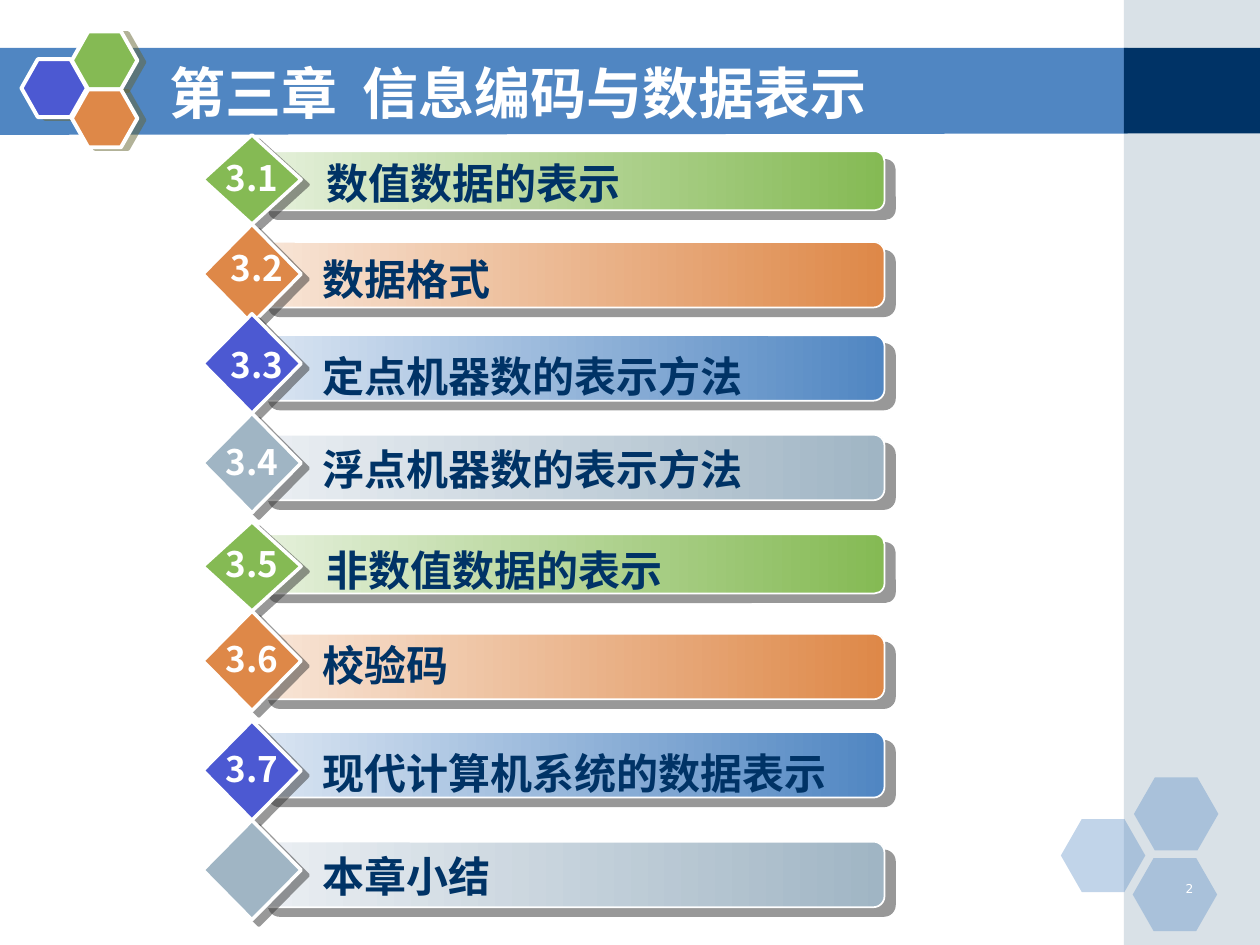
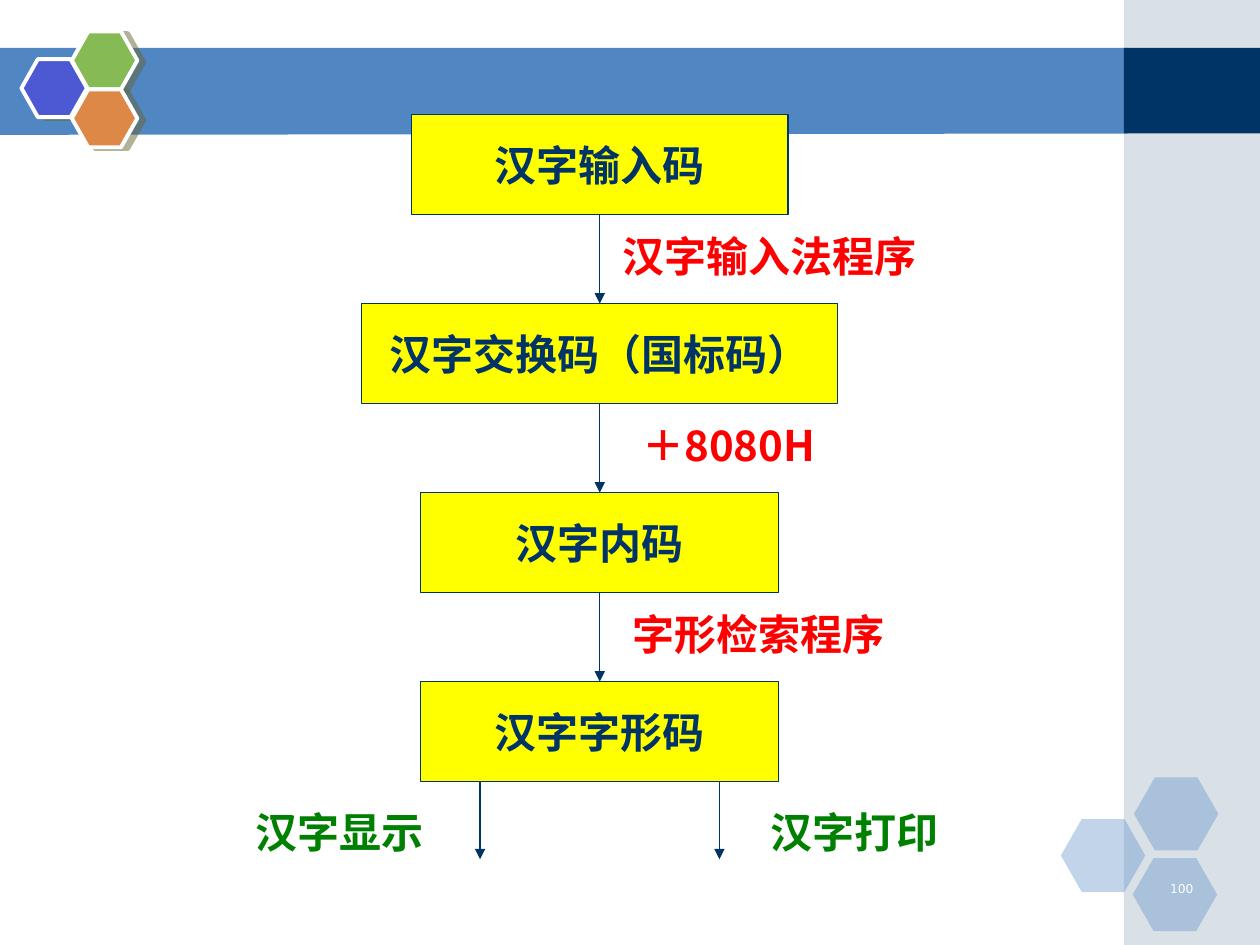
from dataclasses import dataclass

from lxml.etree import SubElement
from pptx import Presentation
from pptx.dml.color import RGBColor
from pptx.enum.shapes import MSO_CONNECTOR, MSO_SHAPE
from pptx.enum.text import MSO_ANCHOR, PP_ALIGN
from pptx.oxml.ns import qn
from pptx.util import Inches, Pt

COLORS = {
    "white": "FFFFFF", "navy": "003366", "blue": "5086C2", "indigo": "4C59D2",
    "green": "85BA54", "orange": "DE8848", "slate": "A0B5C4",
    "pale_green": "E5F0DB", "pale_orange": "F8E6D8", "pale_blue": "DAE5F2",
    "pale_slate": "EBEFF3", "olive": "666633", "charcoal": "333333",
    "yellow": "FFFF00", "red": "FF0000", "leaf": "008000",
}
CJK_FONT = "Noto Sans CJK SC"
TEXT_STYLES = {
    "title": {"name": CJK_FONT, "size": Pt(32), "bold": True},
    "body": {"name": CJK_FONT, "size": Pt(24), "bold": True},
    "number": {"name": CJK_FONT, "size": Pt(20), "bold": True},
    "page": {"name": "DejaVu Sans", "size": Pt(7), "bold": False},
}
INSETS = {"margin_left": Inches(0.1), "margin_right": Inches(0.1),
          "margin_top": Inches(0.05), "margin_bottom": Inches(0.05)}
BADGE_SHADOW = ("olive", 4.1, 14)
BAR_SHADOW = ("charcoal", 7.8, 40)
DIAMOND_SHADOW = ("charcoal", 5, 37)


@dataclass
class Section:
    number: str
    label: str
    theme: str
    bar_top: float
    diamond_top: float
    label_top: float
    number_top: float = 0
    number_left: float = 1.69


# theme: bar start, bar end, diamond, bar height, diamond height
THEMES = {
    "green": ("pale_green", "green", "green", 0.47, 0.71),
    "orange": ("pale_orange", "orange", "orange", 0.52, 0.79),
    "blue": ("pale_blue", "blue", "indigo", 0.52, 0.79),
    "slate": ("pale_slate", "slate", "slate", 0.52, 0.79),
}
SECTIONS = [
    Section("3.1", "数值数据的表示", "green", 1.2, 1.07, 1.2, 1.19),
    Section("3.2", "数据格式", "orange", 1.92, 1.78, 1.96, 1.91, 1.73),
    Section("3.3", "定点机器数的表示方法", "blue", 2.66, 2.49, 2.73, 2.68, 1.73),
    Section("3.4", "浮点机器数的表示方法", "slate", 3.45, 3.28, 3.47, 3.45),
    Section("3.5", "非数值数据的表示", "green", 4.24, 4.14, 4.27, 4.26),
    Section("3.6", "校验码", "orange", 5.03, 4.85, 5.03, 5.01),
    Section("3.7", "现代计算机系统的数据表示", "blue", 5.81, 5.72, 5.88, 5.88),
    Section("", "本章小结", "slate", 6.68, 6.51, 6.7),
]
# code name, box width, next step, left edge of the step label
CODE_STAGES = [
    ("汉字输入码", 2.99, "汉字输入法程序", 4.84),
    ("汉字交换码（国标码）", 3.78, "＋8080H", 5.0),
    ("汉字内码", 2.84, "字形检索程序", 4.92),
    ("汉字字形码", 2.84, None, None),
]
# output, label left, arrow offset from the axis
OUTPUTS = [("汉字显示", 1.93, -0.95), ("汉字打印", 6.02, 0.95)]


def rgb(color):
    return RGBColor.from_string(COLORS[color])


def inches(box):
    return [Inches(length) for length in box]


def set_all(target, values):
    for attribute, value in values.items():
        setattr(target, attribute, value)


def add_alpha(color_element, percent):
    SubElement(color_element, qn("a:alpha"), val=str(percent * 1000))


def add_shadow(shape, color, distance, angle):
    effects = shape._element.spPr.find(qn("a:effectLst"))
    shadow = SubElement(effects, qn("a:outerShdw"), dist=str(Pt(distance)),
                        dir=str(angle * 60000), algn="ctr", rotWithShape="0")
    add_alpha(SubElement(shadow, qn("a:srgbClr"), val=COLORS[color]), 50)


def add_block(slide, kind, box, fill, line=None, adjust=None, opacity=None,
              shadow=None):
    """Add a shape; fill is one colour or a (start, end) pair, line is (colour, points)."""
    shape = slide.shapes.add_shape(kind, *inches(box))
    shape.shadow.inherit = False
    if isinstance(fill, tuple):
        shape.fill.gradient()
        shape.fill.gradient_angle = 0
        for stop, color in zip(shape.fill.gradient_stops, fill):
            stop.color.rgb = rgb(color)
    else:
        shape.fill.solid()
        shape.fill.fore_color.rgb = rgb(fill)
    if opacity:
        add_alpha(shape._element.spPr.find(".//" + qn("a:srgbClr")), opacity)
    if line:
        shape.line.color.rgb = rgb(line[0])
        shape.line.width = Pt(line[1])
    else:
        shape.line.fill.background()
    if adjust:
        shape.adjustments[0] = adjust
    if shadow:
        add_shadow(shape, *shadow)
    return shape


def write(shape, text, style, color, align=PP_ALIGN.LEFT,
          anchor=MSO_ANCHOR.TOP, wrap=True):
    frame = shape.text_frame
    set_all(frame, {**INSETS, "word_wrap": wrap, "vertical_anchor": anchor})
    paragraph = frame.paragraphs[0]
    paragraph.alignment = align
    run = paragraph.add_run()
    run.text = text
    set_all(run.font, TEXT_STYLES[style])
    run.font.color.rgb = rgb(color)
    SubElement(run._r.get_or_add_rPr(), qn("a:ea"),
               typeface=TEXT_STYLES[style]["name"])
    return paragraph


def add_text(slide, box, text, style, color, **layout):
    return write(slide.shapes.add_textbox(*inches(box)), text, style, color, **layout)


def add_down_arrow(slide, x, top, bottom):
    arrow = slide.shapes.add_connector(MSO_CONNECTOR.STRAIGHT,
                                       *inches((x, top, x, bottom)))
    arrow.line.color.rgb = rgb("navy")
    arrow.line.width = Pt(0.75)
    properties = arrow._element.spPr
    SubElement(properties.find(qn("a:ln")), qn("a:tailEnd"), type="triangle")
    SubElement(properties, qn("a:effectLst"))


def add_band(slide, left, top, width, height):
    outline = slide.shapes.build_freeform(Inches(left), Inches(top))
    right = left + width
    corners = [(right, top), (right, top + height - 0.01), (left, top + height)]
    outline.add_line_segments([inches(corner) for corner in corners], close=True)
    band = outline.convert_to_shape()
    band.shadow.inherit = False
    band.fill.solid()
    band.fill.fore_color.rgb = rgb("blue")
    band.line.fill.background()


def add_side_panel(slide, left, top, width, height):
    add_block(slide, MSO_SHAPE.RECTANGLE, (left, top, width, height), "slate",
              opacity=40)
    add_block(slide, MSO_SHAPE.RECTANGLE, (left, top + 0.38, width, 0.68), "navy")


def add_corner_hexagons(slide, left, top):
    for dx, dy in [(0, 0.33), (0.58, 0), (0.57, 0.64)]:
        add_block(slide, MSO_SHAPE.HEXAGON, (left + dx, top + dy, 0.67, 0.58),
                  "blue", adjust=0.286, opacity=35)


def add_badge(slide, left, top):
    for color, dx, dy in [("indigo", 0, 0.22), ("green", 0.4, 0), ("orange", 0.4, 0.46)]:
        add_block(slide, MSO_SHAPE.HEXAGON, (left + dx, top + dy, 0.52, 0.46),
                  color, ("white", 2.25), adjust=0.283, shadow=BADGE_SHADOW)


def add_base_slide(deck, page_number):
    """Add a blank slide with the shared band, side panel, hexagons and page number."""
    slide = deck.slides.add_slide(deck.slide_layouts[6])
    add_band(slide, -0.01, 0.38, 8.96, 0.69)
    add_side_panel(slide, 8.92, 0, 1.08, 7.5)
    add_corner_hexagons(slide, 8.42, 6.17)
    add_badge(slide, 0.17, 0.25)
    page = add_text(slide, (9.07, 6.97, 0.5, 0.25), page_number, "page", "white",
                    align=PP_ALIGN.RIGHT)
    page.line_spacing = 0.8
    return slide


def add_title(slide, box, chapter, subject):
    title = add_text(slide, box, f"{chapter}\t{subject}", "title", "white",
                     anchor=MSO_ANCHOR.MIDDLE)
    tabs = SubElement(title._p.get_or_add_pPr(), qn("a:tabLst"))
    SubElement(tabs, qn("a:tab"), pos=str(Inches(1.53)), algn="l")


def add_section(slide, left, section):
    start, end, diamond, bar_height, diamond_height = THEMES[section.theme]
    add_block(slide, MSO_SHAPE.ROUNDED_RECTANGLE,
              (left + 0.44, section.bar_top, 4.97, bar_height), (start, end),
              ("white", 1), adjust=0.167, shadow=BAR_SHADOW)
    add_block(slide, MSO_SHAPE.DIAMOND,
              (left, section.diamond_top, 0.78, diamond_height), diamond,
              ("white", 2), shadow=DIAMOND_SHADOW)
    label_left = left + (0.88 if section.theme == "green" else 0.85)
    add_text(slide, (label_left, section.label_top, 4.7, 0.5), section.label,
             "body", "navy")
    if section.number:
        add_text(slide, (section.number_left, section.number_top, 0.72, 0.44),
                 section.number, "number", "white")


def add_code_flow(slide, axis, top):
    """Stack the code stages on a vertical axis, then branch to the outputs."""
    box_height, pitch = 0.79, 1.5
    for index, (code, width, step, step_left) in enumerate(CODE_STAGES):
        box_top = top + index * pitch
        bottom = box_top + box_height
        box = add_block(slide, MSO_SHAPE.RECTANGLE,
                        (axis - width / 2, box_top, width, box_height),
                        "yellow", ("navy", 0.75))
        write(box, code, "body", "navy", align=PP_ALIGN.CENTER,
              anchor=MSO_ANCHOR.MIDDLE, wrap=False)
        if step:
            add_down_arrow(slide, axis, bottom, box_top + pitch)
            add_text(slide, (step_left, bottom + 0.08, 2.68, 0.5), step, "body", "red")
    for output, label_left, offset in OUTPUTS:
        add_down_arrow(slide, axis + offset, bottom, bottom + 0.62)
        add_text(slide, (label_left, bottom + 0.15, 1.65, 0.5), output, "body", "leaf")


def build_contents(deck):
    slide = add_base_slide(deck, "2")
    add_title(slide, (1.25, 0.42, 7.33, 0.62), "第三章", "信息编码与数据表示")
    for section in SECTIONS:
        add_section(slide, 1.61, section)


def build_code_conversion(deck):
    add_code_flow(add_base_slide(deck, "100"), 4.76, 0.91)


def main():
    deck = Presentation()
    set_all(deck, {"slide_width": Inches(10), "slide_height": Inches(7.5)})
    build_contents(deck)
    build_code_conversion(deck)
    deck.save("out.pptx")


if __name__ == "__main__":
    main()
